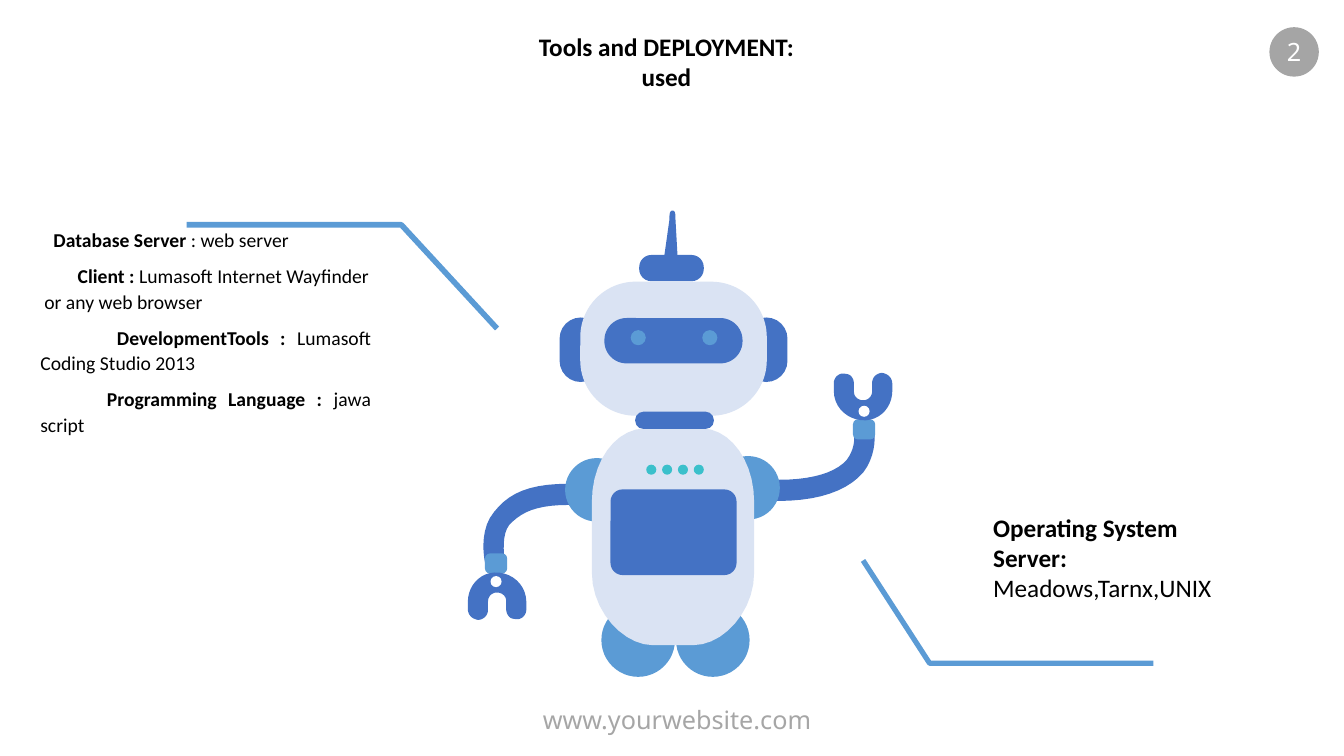
from pptx import Presentation
from pptx.dml.color import RGBColor
from pptx.enum.shapes import MSO_SHAPE
from pptx.enum.text import MSO_ANCHOR, MSO_AUTO_SIZE, PP_ALIGN
from pptx.oxml.ns import qn
from pptx.util import Inches, Pt
from lxml.etree import SubElement

BLUE, SKY, PALE, TEAL = "4472C4", "5B9BD5", "DAE3F3", "3BC0CB"
WHITE, BLACK, GREY, BADGE_GREY = "FFFFFF", "000000", "A6A6A6", "A5A5A5"

TITLE = "Tools and DEPLOYMENT:\nused"
WEBSITE = "www.yourwebsite.com"
PAGE = "2"
TOOLS = [
    (0, 0.13, PP_ALIGN.JUSTIFY, "Database Server", " : web server"),
    (0.04, 0.33, PP_ALIGN.LEFT, "Client :", " Lumasoft Internet Wayfinder or any web browser"),
    (0, 0.76, PP_ALIGN.JUSTIFY, "DevelopmentTools :", " Lumasoft Coding Studio 2013"),
    (0, 0.66, PP_ALIGN.JUSTIFY, "Programming Language :", " jawa script"),
]
SYSTEMS = [(0, 0, PP_ALIGN.LEFT, "Operating System Server: ", "Meadows,Tarnx,UNIX")]

CALLOUTS = [
    (4, [(4.93, 3.26), (3.98, 2.23), (1.85, 2.23)]),
    (3.75, [(8.56, 5.56), (9.22, 6.58), (11.44, 6.58)]),
]

LEFT_ARM = [
    (5.64, 4.8), (5.25, 4.8, 5.05, 4.89, 4.9, 5.08), (4.74, 5.27, 4.81, 5.57, 4.81, 5.58),
    (5.01, 5.6), (5.01, 5.59, 4.96, 5.32, 5.05, 5.21), (5.17, 5.08, 5.32, 5.01, 5.64, 5.01),
    (5.7, 5.01, 5.74, 4.96, 5.74, 4.9), (5.75, 4.84, 5.7, 4.8, 5.64, 4.8),
]
RIGHT_ARM = [
    (7.72, 4.97), (8.12, 4.97, 8.4, 4.87, 8.56, 4.69), (8.71, 4.49, 8.67, 4.28, 8.67, 4.27),
    (8.47, 4.31), (8.47, 4.32, 8.49, 4.44, 8.4, 4.56), (8.29, 4.69, 8.05, 4.76, 7.73, 4.76),
    (7.67, 4.76, 7.62, 4.81, 7.62, 4.86), (7.62, 4.92, 7.66, 4.97, 7.72, 4.97),
]
CLAW = [
    (5.22, 6.05), (5.22, 5.97), (5.22, 5.8, 5.07, 5.67, 4.9, 5.68),
    (4.75, 5.69, 4.64, 5.82, 4.64, 5.97), (4.64, 6.04), (4.64, 6.1, 4.68, 6.14, 4.74, 6.15),
    (4.79, 6.15, 4.84, 6.11, 4.84, 6.05), (4.84, 5.97), (4.84, 5.92, 4.87, 5.89, 4.91, 5.88),
    (4.97, 5.87, 5.02, 5.91, 5.02, 5.96), (5.02, 6.04), (5.02, 6.09, 5.05, 6.14, 5.1, 6.14),
    (5.16, 6.16, 5.22, 6.11, 5.22, 6.05),
]
CUFF = (4.92, 5.59, 0.22, 0.2)
CLAW_HOLE = (4.92, 5.77, 0.11, 0.11)
HAND_TURN = (13.49, 9.85)
TORSO = [
    (6.39, 4.25), (6.1, 4.26, 5.87, 4.58, 5.87, 4.98), (5.87, 5.68),
    (5.87, 6.07, 6.19, 6.4, 6.47, 6.4), (6.88, 6.4), (7.17, 6.4, 7.48, 6.07, 7.48, 5.68),
    (7.48, 4.98), (7.48, 4.58, 7.25, 4.26, 6.97, 4.25),
]
ANTENNA = [
    (6.64, 2.18), (6.59, 2.53), (6.59, 2.58, 6.62, 2.62, 6.65, 2.62),
    (6.69, 2.62, 6.72, 2.59, 6.72, 2.54), (6.7, 2.18), (6.7, 2.13, 6.7, 2.09, 6.67, 2.09),
    (6.64, 2.09, 6.64, 2.13, 6.64, 2.18),
]
FEET = [(7.07, 6.35), (6.33, 6.35)]
SHOULDERS = [(7.42, 4.84), (5.92, 4.86)]
EARS = [(7.6, 3.47), (5.76, 3.47)]
EYES = [(6.33, 3.35), (7.04, 3.35)]
LIGHTS = [(6.46 + 0.157 * i, 4.66) for i in range(4)]


def rgb(value):
    return RGBColor.from_string(value)


def paint(shape, colour):
    shape.shadow.inherit = False
    shape.fill.solid()
    shape.fill.fore_color.rgb = rgb(colour)
    shape.line.fill.background()
    return shape


def oval(shapes, x, y, width, height, colour):
    return paint(shapes.add_shape(MSO_SHAPE.OVAL, Inches(x - width / 2), Inches(y - height / 2),
                                  Inches(width), Inches(height)), colour)


def pill(shapes, x, y, width, height, radius, colour):
    body = paint(shapes.add_shape(MSO_SHAPE.ROUNDED_RECTANGLE, Inches(x - width / 2),
                                  Inches(y - height / 2), Inches(width), Inches(height)), colour)
    body.adjustments[0] = radius / min(width, height)


def trace(outline, steps=10):
    points = [outline[0]]
    for segment in outline[1:]:
        if len(segment) == 2:
            points.append(segment)
            continue
        (x0, y0), (x1, y1, x2, y2, x3, y3) = points[-1], segment
        for step in range(1, steps + 1):
            t = step / steps
            a, b, c, d = (1 - t) ** 3, 3 * t * (1 - t) ** 2, 3 * t * t * (1 - t), t ** 3
            points.append((a * x0 + b * x1 + c * x2 + d * x3, a * y0 + b * y1 + c * y2 + d * y3))
    return points


def freeform(shapes, points, close=True):
    corners = [(Inches(x), Inches(y)) for x, y in points]
    builder = shapes.build_freeform(*corners[0])
    builder.add_line_segments(corners[1:], close=close)
    return builder.convert_to_shape()


def hand(shapes, turned):
    def place(x, y):
        return (HAND_TURN[0] - x, HAND_TURN[1] - y) if turned else (x, y)
    pill(shapes, *place(*CUFF[:2]), *CUFF[2:], 0.05, SKY)
    paint(freeform(shapes, [place(*point) for point in trace(CLAW)]), BLUE)
    oval(shapes, *place(*CLAW_HOLE[:2]), *CLAW_HOLE[2:], WHITE)


def draw_robot(shapes):
    for foot in FEET:
        oval(shapes, *foot, 0.73, 0.73, SKY)
    for arm, turned in ((LEFT_ARM, False), (RIGHT_ARM, True)):
        paint(freeform(shapes, trace(arm)), BLUE)
        hand(shapes, turned)
    for shoulder in SHOULDERS:
        oval(shapes, *shoulder, 0.63, 0.63, SKY)
    paint(freeform(shapes, trace(TORSO)), PALE)
    for ear in EARS:
        pill(shapes, *ear, 0.42, 0.64, 0.21, BLUE)
    pill(shapes, 6.68, 3.46, 1.85, 1.33, 0.55, PALE)
    pill(shapes, 6.66, 2.66, 0.64, 0.26, 0.12, BLUE)
    paint(freeform(shapes, trace(ANTENNA)), BLUE)
    for light in LIGHTS:
        oval(shapes, *light, 0.1, 0.1, TEAL)
    pill(shapes, 6.68, 3.38, 1.37, 0.45, 0.22, BLUE)
    for eye in EYES:
        oval(shapes, *eye, 0.15, 0.15, SKY)
    pill(shapes, 6.69, 4.17, 0.78, 0.17, 0.08, BLUE)
    pill(shapes, 6.68, 5.28, 1.25, 0.85, 0.12, BLUE)


def style(paragraph, size, font, colour, align):
    paragraph.alignment = align
    for run in paragraph.runs:
        run.font.size = Pt(size)
        run.font.name = font
        run.font.color.rgb = rgb(colour)


def settle(holder, left, top, width, height, anchor):
    holder.left, holder.top = Inches(left), Inches(top)
    holder.width, holder.height = Inches(width), Inches(height)
    frame = holder.text_frame
    frame.word_wrap = True
    frame.auto_size = MSO_AUTO_SIZE.NONE
    frame.vertical_anchor = anchor
    return frame


def fill_list(frame, entries, size, spacing, after):
    for i, (margin, indent, align, label, detail) in enumerate(entries):
        paragraph = frame.paragraphs[0] if i == 0 else frame.add_paragraph()
        paragraph.text = label
        paragraph.add_run().text = detail
        style(paragraph, size, "Calibri", BLACK, align)
        paragraph.runs[0].font.bold = True
        paragraph.line_spacing = spacing
        paragraph.space_before, paragraph.space_after = Pt(0), Pt(after)
        properties = paragraph._p.get_or_add_pPr()
        properties.set("marL", str(Inches(margin)))
        properties.set("indent", str(Inches(indent)))
        SubElement(properties, qn("a:buNone"))


def main():
    deck = Presentation()
    deck.slide_width, deck.slide_height = Inches(13.33), Inches(7.5)
    slide = deck.slides.add_slide(deck.slide_layouts[3])
    title, tools, systems = slide.placeholders

    heading = settle(title, 1.32, 0.26, 10.58, 1.55, MSO_ANCHOR.TOP)
    heading.text = TITLE
    for paragraph in heading.paragraphs:
        style(paragraph, 18, "Calibri", BLACK, PP_ALIGN.CENTER)
        paragraph.runs[0].font.bold = True

    website = slide.shapes.add_textbox(0, 0, 0, 0)
    footer = settle(website, 0.5, 6.94, 12.43, 0.4, MSO_ANCHOR.TOP)
    footer.text = WEBSITE
    style(footer.paragraphs[0], 18, "Noto Sans", GREY, PP_ALIGN.CENTER)

    badge = oval(slide.shapes, 12.835, 0.515, 0.49, 0.49, BADGE_GREY).text_frame
    badge.text = PAGE
    badge.word_wrap = False
    badge.vertical_anchor = MSO_ANCHOR.MIDDLE
    style(badge.paragraphs[0], 18, "Noto Sans", WHITE, PP_ALIGN.CENTER)

    draw_robot(slide.shapes.add_group_shape().shapes)
    for weight, points in CALLOUTS:
        callout = freeform(slide.shapes, points, close=False)
        callout.shadow.inherit = False
        callout.fill.background()
        callout.line.color.rgb = rgb(SKY)
        callout.line.width = Pt(weight)

    fill_list(settle(tools, 0.3, 2.19, 3.48, 2.19, MSO_ANCHOR.MIDDLE), TOOLS, 14, 1.07, 8)
    fill_list(settle(systems, 9.75, 5.03, 2.43, 1.01, MSO_ANCHOR.TOP), SYSTEMS, 18, 1.0, 0)
    deck.save("out.pptx")


if __name__ == "__main__":
    main()
